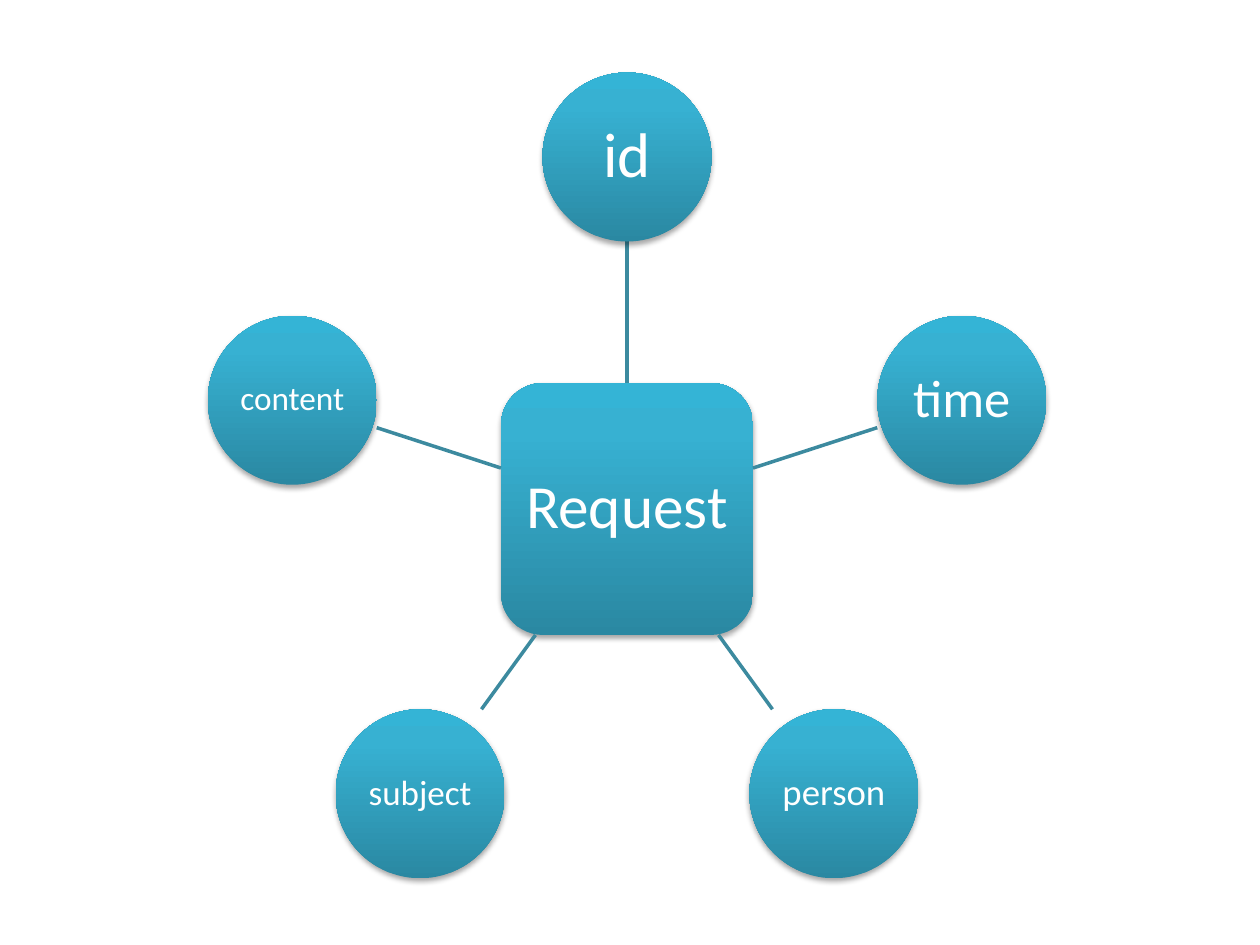
from copy import deepcopy
from dataclasses import dataclass
from math import cos, radians, sin

from lxml.etree import SubElement
from pptx import Presentation
from pptx.dml.color import RGBColor
from pptx.enum.shapes import MSO_CONNECTOR as Connector, MSO_SHAPE as Shape
from pptx.enum.text import MSO_ANCHOR as Anchor, PP_ALIGN as Align
from pptx.oxml.ns import qn
from pptx.util import Emu, Inches, Pt

PIXEL = Inches(1) / 126


@dataclass(frozen=True)
class Theme:
    font: str = "Calibri"
    text: str = "FFFFFF"
    spoke: str = "3C8A9F"
    spoke_width: float = 2
    gradient: tuple = ((0, "2A88A2"), (0.8, "37B1D2"), (1, "34B4D6"))
    hub_size: int = 35
    satellite_sizes: tuple = (36, 30, 21, 20, 19)


@dataclass(frozen=True)
class Node:
    label: str
    x: float
    y: float
    side: int
    type_size: int
    inset: float
    outline: Shape


THEME = Theme()
CENTER_X, CENTER_Y = 627, 509
ORBIT = 352
HUB_SIDE, SATELLITE_SIDE = 252, 169
LABELS = ("id", "time", "person", "subject", "content")
INSETS = (12, 10, 8, 8, 6)


def px(value: float) -> Emu:
    return Emu(round(value * PIXEL))


def apply_format(target: object, values: dict) -> None:
    for name, value in values.items():
        setattr(target, name, value)


def fill_gradient(shape) -> None:
    shape.fill.gradient()
    shape.fill.gradient_angle = 90
    stop_list = shape._element.spPr.find(".//" + qn("a:gsLst"))
    stop_list.append(deepcopy(stop_list[-1]))
    for stop, (position, color) in zip(shape.fill.gradient_stops, THEME.gradient):
        stop.color.rgb = RGBColor.from_string(color)
        stop.position = position


def add_shadow(shape) -> None:
    shape.shadow.inherit = False
    effects = shape._element.spPr.find(qn("a:effectLst"))
    shadow = SubElement(effects, qn("a:outerShdw"), blurRad=str(Pt(3.1)),
                        dist=str(Pt(1.8)), dir="5400000", rotWithShape="0")
    color = SubElement(shadow, qn("a:srgbClr"), val="000000")
    SubElement(color, qn("a:alpha"), val="35000")


def draw_node(slide, node: Node) -> None:
    shape = slide.shapes.add_shape(
        node.outline, px(node.x - node.side / 2), px(node.y - node.side / 2),
        px(node.side), px(node.side))
    fill_gradient(shape)
    shape.line.fill.background()
    add_shadow(shape)
    frame = shape.text_frame
    margins = {f"margin_{edge}": px(node.inset)
               for edge in ("left", "top", "right", "bottom")}
    apply_format(frame, {"word_wrap": False, "vertical_anchor": Anchor.MIDDLE, **margins})
    paragraph = frame.paragraphs[0]
    apply_format(paragraph, {"alignment": Align.CENTER, "line_spacing": 0.9})
    run = paragraph.add_run()
    run.text = node.label
    apply_format(run.font, {"name": THEME.font, "size": Pt(node.type_size)})
    run.font.color.rgb = RGBColor.from_string(THEME.text)


def draw_spoke(slide, angle: float) -> None:
    across, down = sin(angle), -cos(angle)
    reach = max(abs(across), abs(down))
    start = HUB_SIDE / 2 / reach
    end = ORBIT - SATELLITE_SIDE / 2 / reach
    spoke = slide.shapes.add_connector(
        Connector.STRAIGHT,
        px(CENTER_X + start * across), px(CENTER_Y + start * down),
        px(CENTER_X + end * across), px(CENTER_Y + end * down))
    spoke.line.color.rgb = RGBColor.from_string(THEME.spoke)
    spoke.line.width = Pt(THEME.spoke_width)
    SubElement(spoke._element.spPr, qn("a:effectLst"))


def main() -> None:
    presentation = Presentation()
    apply_format(presentation, {"slide_width": Inches(10), "slide_height": Inches(7.5)})
    slide = presentation.slides.add_slide(presentation.slide_layouts[6])
    draw_node(slide, Node("Request", CENTER_X, CENTER_Y, HUB_SIDE,
                          THEME.hub_size, 12, Shape.ROUNDED_RECTANGLE))
    for index, (label, size, inset) in enumerate(
            zip(LABELS, THEME.satellite_sizes, INSETS)):
        angle = radians(index * 360 / len(LABELS))
        draw_spoke(slide, angle)
        draw_node(slide, Node(label, CENTER_X + ORBIT * sin(angle),
                              CENTER_Y - ORBIT * cos(angle), SATELLITE_SIDE,
                              size, inset, Shape.OVAL))
    presentation.save("out.pptx")


main()
